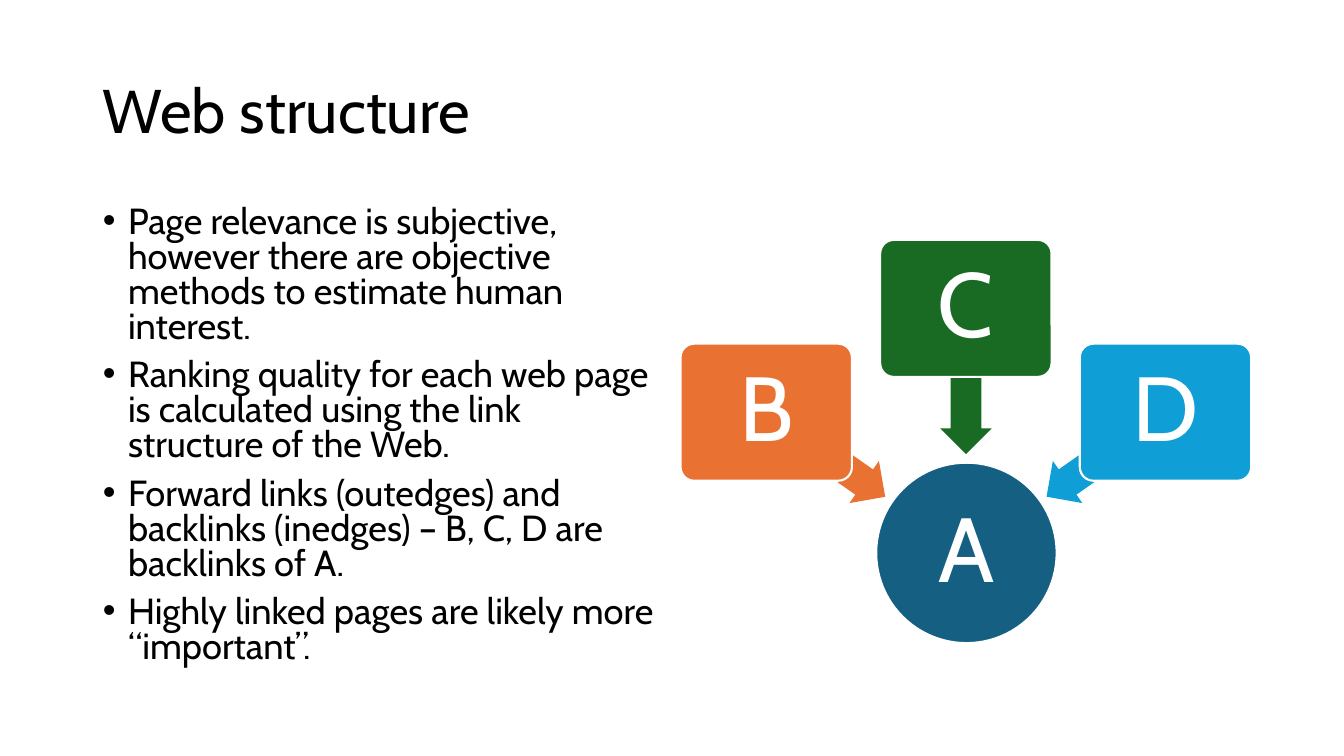
import dataclasses

import pptx
import pptx.dml.color
import pptx.enum.shapes
import pptx.enum.text
import pptx.oxml
import pptx.oxml.ns
import pptx.util

RGB = pptx.dml.color.RGBColor
SHAPE = pptx.enum.shapes.MSO_SHAPE
ALIGN = pptx.enum.text.PP_ALIGN
ANCHOR = pptx.enum.text.MSO_ANCHOR

EMU_PER_PX = 9144  # 100 px to the inch
FONT = "Cabin"
BLACK = RGB(0x00, 0x00, 0x00)
WHITE = RGB(0xFF, 0xFF, 0xFF)
BLUE = RGB(0x15, 0x60, 0x82)
ORANGE = RGB(0xE9, 0x71, 0x32)
GREEN = RGB(0x19, 0x6B, 0x24)
CYAN = RGB(0x0F, 0x9E, 0xD5)

CENTER_X = 958
CIRCLE_Y = 548
CIRCLE_SIZE = (179, 179)
PAGE_SIZE = (170, 136)
ARROW_SIZE = (144, 51)

TITLE = "Web structure"
BULLETS = [
    "Page relevance is subjective, however there are objective methods to estimate human interest.",
    "Ranking quality for each web page is calculated using the link structure of the Web.",
    "Forward links (outedges) and backlinks (inedges) – B, C, D are backlinks of A.",
    "Highly linked pages are likely more “important”.",
]


@dataclasses.dataclass(frozen=True)
class Backlink:
    """A page box and its arrow; dx values are measured from CENTER_X."""
    label: str
    color: RGB
    page_dx: int
    page_y: int
    arrow_dx: int
    arrow_y: int
    rotation: int


BACKLINKS = [
    Backlink("B", ORANGE, -198, 409, -139, 451, 215),
    Backlink("C", GREEN, 0, 306, 0, 378, 270),
    Backlink("D", CYAN, 198, 409, 139, 451, 325),
]


def px(n: int) -> pptx.util.Emu:
    return pptx.util.Emu(n * EMU_PER_PX)


def add_run(p, text: str, size: float, color: RGB) -> None:
    r = p.add_run()
    r.text = text
    r.font.name = FONT
    r.font.size = pptx.util.Pt(size)
    r.font.color.rgb = color


def place(sp, left: int, top: int, width: int, height: int) -> None:
    sp.left, sp.top, sp.width, sp.height = map(px, (left, top, width, height))


def add_centered(s, kind, cx: int, cy: int, size: tuple[int, int], color: RGB):
    w, h = size
    sp = s.shapes.add_shape(kind, px(cx - w // 2), px(cy - h // 2), px(w), px(h))
    sp.shadow.inherit = False
    sp.fill.solid()
    sp.fill.fore_color.rgb = color
    sp.line.fill.background()
    return sp


def add_label(sp, text: str, inset: int) -> None:
    sp.line.color.rgb = WHITE
    sp.line.width = pptx.util.Pt(1.5)
    tf = sp.text_frame
    tf.word_wrap = True
    tf.vertical_anchor = ANCHOR.MIDDLE
    tf.margin_left = tf.margin_right = tf.margin_top = tf.margin_bottom = px(inset)
    p = tf.paragraphs[0]
    p.alignment = ALIGN.CENTER
    p.line_spacing = 0.9
    add_run(p, text, 65, WHITE)


def add_bullet(p) -> None:
    pPr = p._p.get_or_add_pPr()
    pPr.set("marL", str(px(25)))
    pPr.set("indent", str(px(-25)))
    for tag, key, value in (("a:buFont", "typeface", "Arial"), ("a:buChar", "char", "•")):
        bullet = pptx.oxml.parse_xml(f'<{tag} {pptx.oxml.ns.nsdecls("a")} {key}="{value}"/>')
        pPr.append(bullet)


def add_title(s) -> None:
    sp = s.shapes.title
    place(sp, 92, 40, 1150, 145)
    tf = sp.text_frame
    tf.auto_size = pptx.enum.text.MSO_AUTO_SIZE.NONE
    tf.vertical_anchor = ANCHOR.MIDDLE
    p = tf.paragraphs[0]
    p.alignment = ALIGN.LEFT
    p.line_spacing = 0.9
    add_run(p, TITLE, 44, BLACK)


def add_body(s) -> None:
    sp = s.placeholders[1]
    place(sp, 92, 200, 567, 476)
    tf = sp.text_frame
    tf.auto_size = pptx.enum.text.MSO_AUTO_SIZE.NONE
    for i, text in enumerate(BULLETS):
        p = tf.add_paragraph() if i else tf.paragraphs[0]
        p.line_spacing = 0.8
        p.space_before = pptx.util.Pt(10)
        add_bullet(p)
        add_run(p, text, 25.9, BLACK)


def add_backlink(s, link: Backlink) -> None:
    arrow = add_centered(s, SHAPE.LEFT_ARROW, CENTER_X + link.arrow_dx, link.arrow_y,
                         ARROW_SIZE, link.color)
    arrow.adjustments[0] = 0.6
    arrow.adjustments[1] = 0.5
    arrow.rotation = link.rotation
    page = add_centered(s, SHAPE.ROUNDED_RECTANGLE, CENTER_X + link.page_dx, link.page_y,
                        PAGE_SIZE, link.color)
    page.adjustments[0] = 0.1
    add_label(page, link.label, 14)


def main() -> None:
    prs = pptx.Presentation()
    prs.slide_width, prs.slide_height = pptx.util.Inches(13.33), pptx.util.Inches(7.5)
    s = prs.slides.add_slide(prs.slide_layouts[1])

    # Title and list
    add_title(s)
    add_body(s)

    # Linked page, then the pages that point to it
    circle = add_centered(s, SHAPE.OVAL, CENTER_X, CIRCLE_Y, CIRCLE_SIZE, BLUE)
    add_label(circle, "A", 5)
    for link in BACKLINKS:
        add_backlink(s, link)

    prs.save("out.pptx")


if __name__ == "__main__":
    main()
